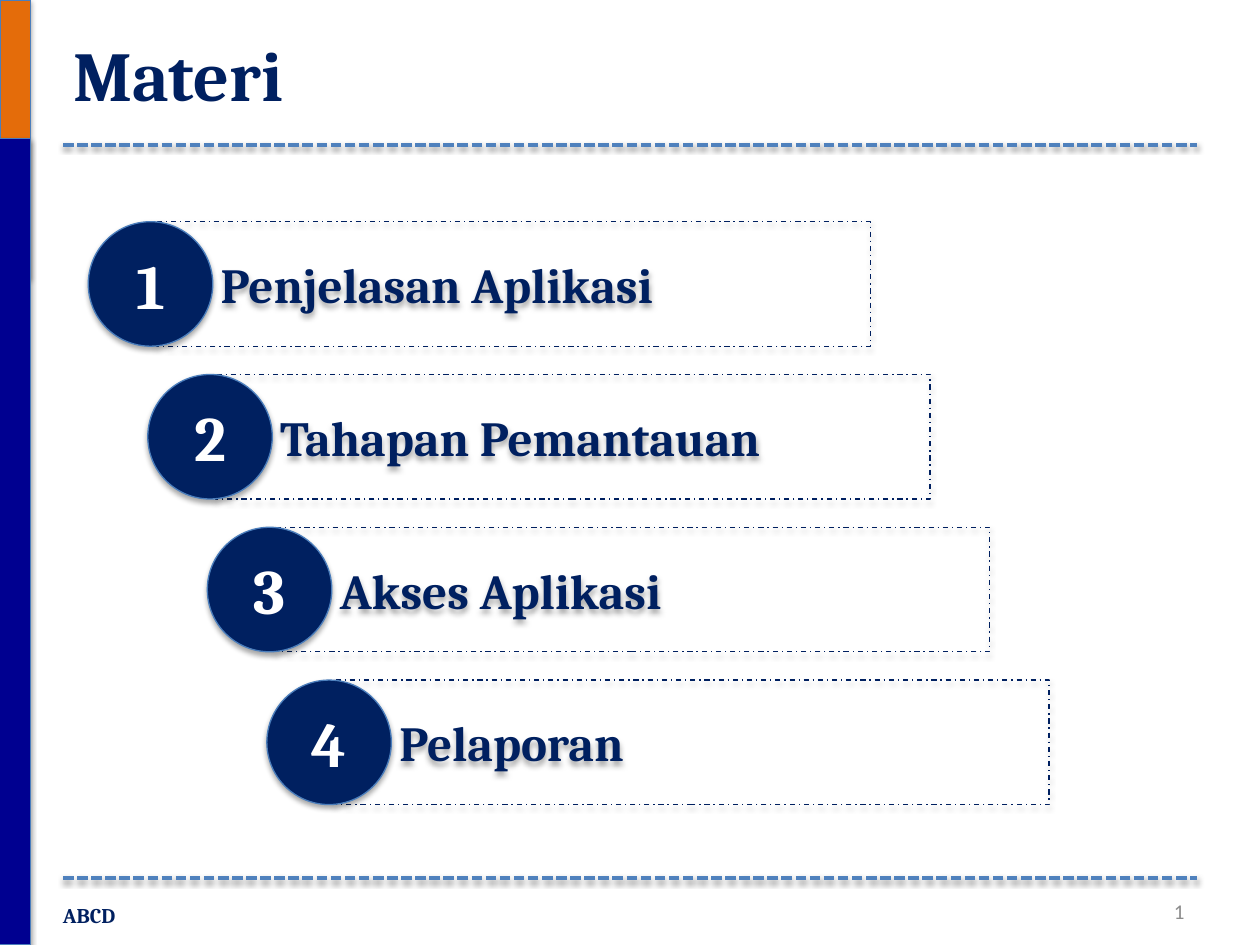
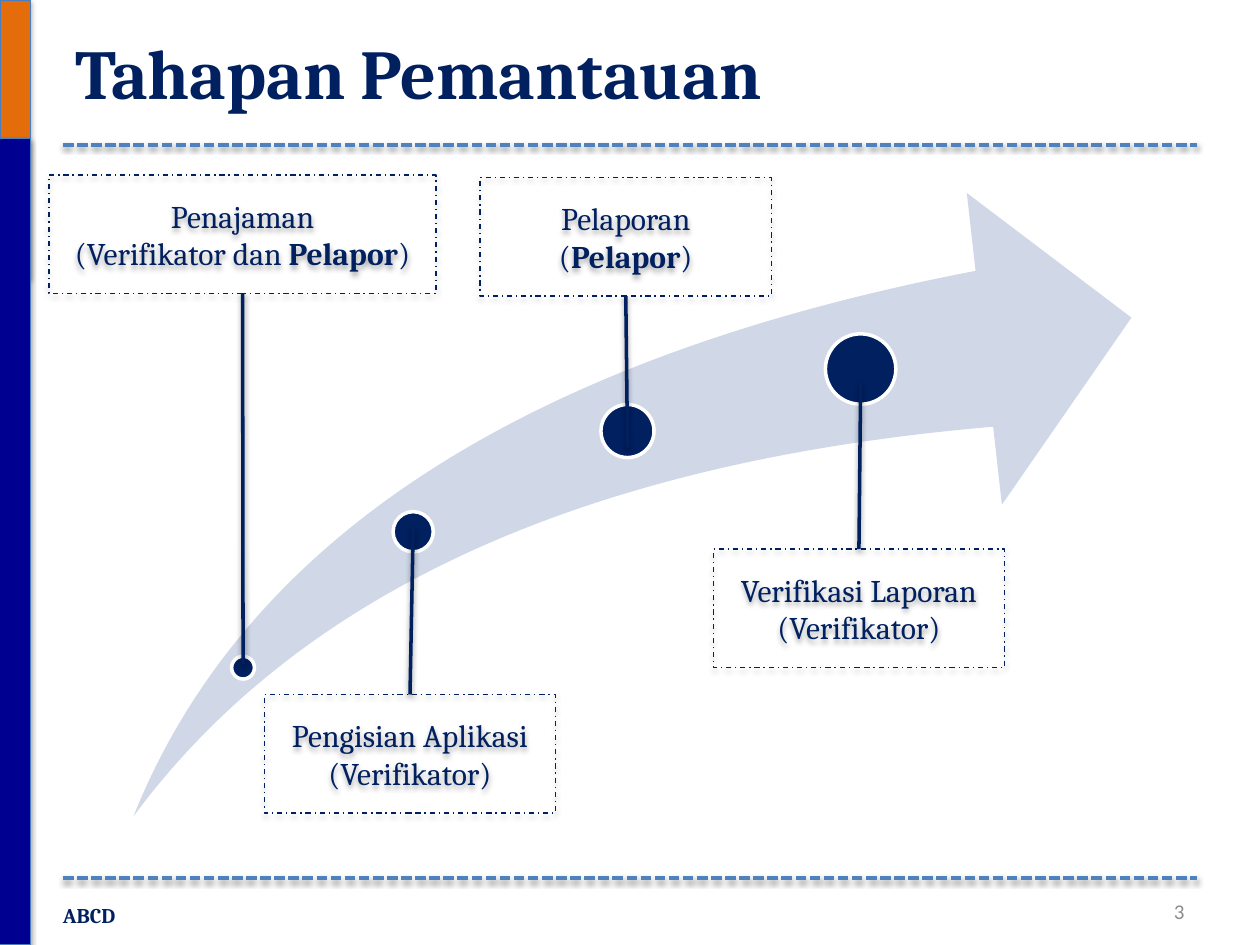
from dataclasses import dataclass
from typing import Optional

from pptx import Presentation
from pptx.dml.color import RGBColor
from pptx.enum.dml import MSO_LINE
from pptx.enum.shapes import MSO_CONNECTOR, MSO_SHAPE
from pptx.enum.text import MSO_ANCHOR, MSO_AUTO_SIZE, PP_ALIGN
from pptx.util import Cm, Pt


@dataclass(frozen=True)
class Theme:
    navy: str = "002060"
    bar_blue: str = "000090"
    bar_orange: str = "E46C0A"
    outline: str = "4B7EBC"
    rule: str = "4F81BD"
    swoosh: str = "D0D8E8"
    grey: str = "8C8C8C"
    white: str = "FFFFFF"
    heading_font: str = "Cambria"
    number_font: str = "Calibri"
    title_size: int = 40
    badge_size: int = 36
    topic_size: int = 28
    label_size: int = 18
    footer_size: int = 12
    thin: float = 0.75
    thick: float = 2


THEME = Theme()


@dataclass(frozen=True)
class Box:
    """Position and size in centimetres."""
    left: float
    top: float
    width: float
    height: float

    def lengths(self) -> tuple:
        return Cm(self.left), Cm(self.top), Cm(self.width), Cm(self.height)


@dataclass(frozen=True)
class Run:
    text: str
    bold: bool = False


@dataclass(frozen=True)
class Milestone:
    """A dot on the arrow, its label box and the line between them."""
    center_x: float
    center_y: float
    diameter: float
    line_end_y: float
    label: Box
    label_side: int  # 0 top, 2 bottom
    stage: str
    actors: tuple


TOPICS = ("Penjelasan Aplikasi", "Tahapan Pemantauan", "Akses Aplikasi", "Pelaporan")
BADGE_DIAMETER = 2.51
TOPIC_START = (1.78, 4.47)
TOPIC_STEP = (1.2, 3.08)

MILESTONES = (
    Milestone(4.9, 13.46, 0.46, 13.39, Box(0.99, 3.53, 7.8, 2.39), 2, "Penajaman",
              (Run("(Verifikator dan "), Run("Pelapor", True), Run(")"))),
    Milestone(8.33, 10.72, 0.81, 10.62, Box(5.33, 14, 5.87, 2.39), 0,
              "Pengisian Aplikasi", (Run("(Verifikator)"),)),
    Milestone(12.65, 8.69, 1.07, 9.02, Box(9.68, 3.58, 5.87, 2.39), 2, "Pelaporan",
              (Run("("), Run("Pelapor", True), Run(")"))),
    Milestone(17.35, 7.44, 1.42, 7.7, Box(14.38, 11.07, 5.87, 2.39), 0,
              "Verifikasi Laporan", (Run("(Verifikator)"),)),
)


def color(value: str) -> RGBColor:
    return RGBColor.from_string(value)


def add_run(paragraph, run: Run, size: int, text_color: str = THEME.navy,
            font_name: str = THEME.heading_font) -> None:
    text_run = paragraph.add_run()
    text_run.text = run.text
    font = text_run.font
    font.name, font.size, font.bold = font_name, Pt(size), run.bold
    font.color.rgb = color(text_color)


def add_figure(shapes, kind: MSO_SHAPE, box: Box, fill: Optional[str] = None,
               line: Optional[str] = None, width: float = THEME.thin,
               shadow: bool = True):
    """Add a preset shape; it keeps the theme shadow unless told otherwise."""
    shape = shapes.add_shape(kind, *box.lengths())
    if fill:
        shape.fill.solid()
        shape.fill.fore_color.rgb = color(fill)
    else:
        shape.fill.background()
    if line:
        shape.line.color.rgb = color(line)
        shape.line.width = Pt(width)
    else:
        shape.line.fill.background()
    if not shadow:
        shape.shadow.inherit = False
    return shape


def add_dashed_box(slide, box: Box):
    shape = add_figure(slide.shapes, MSO_SHAPE.RECTANGLE, box, line=THEME.navy)
    shape.line.dash_style = MSO_LINE.DASH_DOT
    shape.text_frame.word_wrap = True
    return shape


def add_line(slide, start: tuple, end: tuple, line_color: str):
    connector = slide.shapes.add_connector(
        MSO_CONNECTOR.STRAIGHT, *(Cm(value) for value in start + end))
    connector.line.color.rgb = color(line_color)
    connector.line.width = Pt(THEME.thick)
    return connector


def add_frame(slide, page_number: str) -> None:
    # Side bars
    for box, fill in ((Box(0, 0, 0.61, 5.59), THEME.bar_orange),
                      (Box(-0.05, 2.79, 0.66, 16.26), THEME.bar_blue)):
        add_figure(slide.shapes, MSO_SHAPE.RECTANGLE, box, fill, THEME.outline)

    # Rules under the title and above the footer
    for height in (2.92, 17.7):
        rule = add_line(slide, (1.27, height), (24.13, height), THEME.rule)
        rule.line.dash_style = MSO_LINE.SQUARE_DOT

    # Footer
    footer = slide.shapes.add_textbox(*Box(1.02, 18.06, 1.63, 0.76).lengths()).text_frame
    footer.word_wrap = False
    footer.auto_size = MSO_AUTO_SIZE.SHAPE_TO_FIT_TEXT
    add_run(footer.paragraphs[0], Run("ABCD", True), THEME.footer_size)

    # Page number
    number = slide.shapes.add_textbox(*Box(18.21, 17.86, 5.92, 1.02).lengths()).text_frame
    number.word_wrap = True
    number.vertical_anchor = MSO_ANCHOR.MIDDLE
    number.paragraphs[0].alignment = PP_ALIGN.RIGHT
    add_run(number.paragraphs[0], Run(page_number), THEME.footer_size,
            THEME.grey, THEME.number_font)


def add_framed_slide(presentation, title: str, title_box: Box, page_number: str):
    slide = presentation.slides.add_slide(presentation.slide_layouts[5])
    add_frame(slide, page_number)
    shape = slide.shapes.title
    shape.left, shape.top, shape.width, shape.height = title_box.lengths()
    frame = shape.text_frame
    frame.auto_size = MSO_AUTO_SIZE.NONE
    frame.vertical_anchor = MSO_ANCHOR.MIDDLE
    frame.paragraphs[0].alignment = PP_ALIGN.LEFT
    add_run(frame.paragraphs[0], Run(title, True), THEME.title_size)
    return slide


def add_topic(slide, index: int, topic: str) -> None:
    left, top = (start + index * step for start, step in zip(TOPIC_START, TOPIC_STEP))
    frame = add_dashed_box(slide, Box(left + 1.37, top, 14.4, BADGE_DIAMETER)).text_frame
    frame.margin_left = Cm(1.3)
    frame.paragraphs[0].alignment = PP_ALIGN.LEFT
    add_run(frame.paragraphs[0], Run(topic, True), THEME.topic_size)

    badge = add_figure(slide.shapes, MSO_SHAPE.OVAL,
                       Box(left, top, BADGE_DIAMETER, BADGE_DIAMETER),
                       THEME.navy, THEME.outline)
    add_run(badge.text_frame.paragraphs[0], Run(str(index + 1), True),
            THEME.badge_size, THEME.white)


def add_swoosh(slide) -> None:
    group = slide.shapes.add_group_shape()
    swoosh = add_figure(group.shapes, MSO_SHAPE.SWOOSH_ARROW,
                        Box(2.69, 3.89, 20.12, 12.57), THEME.swoosh, shadow=False)
    swoosh.adjustments[0] = swoosh.adjustments[1] = 0.25
    for milestone in MILESTONES:
        diameter = milestone.diameter
        dot = Box(milestone.center_x - diameter / 2, milestone.center_y - diameter / 2,
                  diameter, diameter)
        add_figure(group.shapes, MSO_SHAPE.OVAL, dot, THEME.navy, THEME.white,
                   THEME.thick, shadow=False)


def add_label(slide, milestone: Milestone) -> None:
    label = add_dashed_box(slide, milestone.label)
    frame = label.text_frame
    for runs in ((Run(milestone.stage),), milestone.actors):
        first = runs[0].text == milestone.stage
        paragraph = frame.paragraphs[0] if first else frame.add_paragraph()
        paragraph.alignment = PP_ALIGN.CENTER
        for run in runs:
            add_run(paragraph, run, THEME.label_size)

    dot_end = (milestone.center_x, milestone.line_end_y)
    connector = add_line(slide, dot_end, dot_end, THEME.navy)
    connector.end_connect(label, milestone.label_side)


def main() -> None:
    presentation = Presentation()
    presentation.slide_width, presentation.slide_height = Cm(25.4), Cm(19.05)

    # Contents
    contents = add_framed_slide(presentation, "Materi", Box(1.22, 0.51, 5.2, 1.96), "1")
    for index, topic in enumerate(TOPICS):
        add_topic(contents, index, topic)

    # Monitoring stages
    stages = add_framed_slide(presentation, "Tahapan Pemantauan",
                              Box(1.27, 0.36, 22.86, 2.16), "3")
    add_swoosh(stages)
    for milestone in MILESTONES:
        add_label(stages, milestone)

    presentation.save("out.pptx")


if __name__ == "__main__":
    main()
